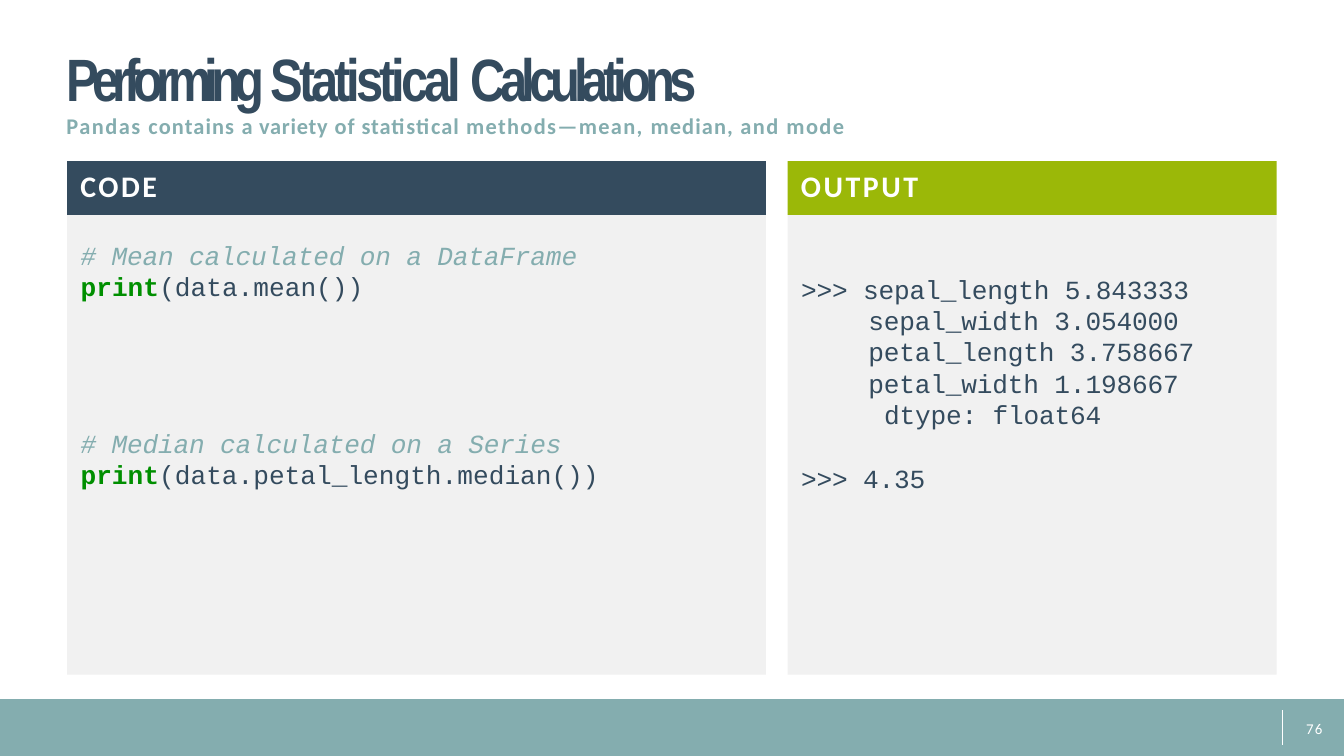
from pptx import Presentation
from pptx.dml.color import RGBColor
from pptx.enum.shapes import MSO_CONNECTOR, MSO_SHAPE
from pptx.enum.text import MSO_ANCHOR, PP_ALIGN
from pptx.oxml.ns import qn
from pptx.util import Pt
from lxml.etree import SubElement

NAVY, TEAL, LIME, GREEN = "344B5E", "84ADAF", "9BB808", "008F00"
PALE, WHITE = "F1F1F1", "FFFFFF"
CODE_FONT = "Courier New"
CODE_PITCH = Pt(16.8)


def color(hex_string):
    return RGBColor.from_string(hex_string)


def style(font, name, size, hex_string, bold=None):
    font.name, font.size, font.bold = name, Pt(size), bold
    font.color.rgb = color(hex_string)


def add_run(paragraph, text, tracking=0):
    """Append a run whose letters are tracked by the given points."""
    run = paragraph.add_run()
    run.text = text
    if tracking:
        run.font._element.set("spc", str(round(tracking * 100)))
    return run


def prepare_frame(frame, left=0, top=0):
    frame.margin_left, frame.margin_top = Pt(left), Pt(top)
    frame.margin_right = frame.margin_bottom = 0
    frame.word_wrap = True
    frame.vertical_anchor = MSO_ANCHOR.TOP
    return frame


def add_block(slide, left, top, width, height, fill):
    block = slide.shapes.add_shape(MSO_SHAPE.RECTANGLE, Pt(left), Pt(top), Pt(width), Pt(height))
    block.shadow.inherit = False
    block.fill.solid()
    block.fill.fore_color.rgb = color(fill)
    block.line.fill.background()
    return block


def add_heading(slide, left, top, width, height):
    title = slide.shapes.title
    title.left, title.top, title.width, title.height = Pt(left), Pt(top), Pt(width), Pt(height)
    frame = prepare_frame(title.text_frame, left=1, top=0.7)
    topic, summary = frame.paragraphs[0], frame.add_paragraph()
    for paragraph, pitch in ((topic, 37.6), (summary, 13.7)):
        paragraph.alignment = PP_ALIGN.LEFT
        paragraph.line_spacing = Pt(pitch)
    style(topic.font, "Arial Narrow", 32, NAVY, True)
    style(summary.font, "Calibri", 12, TEAL, True)
    for text, tracking in (("Performing ", -3.8), ("Statistical ", -2.2), ("Calculations", -3.2)):
        add_run(topic, text, tracking)
    for text, tracking in (("Pandas ", 0.8), ("contains ", 0.6), ("a variety ", 0.4),
                           ("of statistical ", 0.5), ("methods—mean, ", 0.7),
                           ("median, ", 0.6), ("and mode", 0.8)):
        add_run(summary, text, tracking)


def add_panel(slide, left, top, width, height, label, fill, header_height=28.8):
    """Draw a labelled header above a pale body and return the body."""
    header = add_block(slide, left, top, width, header_height, fill)
    paragraph = prepare_frame(header.text_frame, left=7.2, top=3.6).paragraphs[0]
    paragraph.alignment = PP_ALIGN.LEFT
    style(paragraph.font, "Calibri", 16, WHITE, True)
    add_run(paragraph, label, 1.4)
    return add_block(slide, left, top + header_height, width, height - header_height, PALE)


def add_snippet(slide, left, top, width, height, comment, arguments):
    box = slide.shapes.add_textbox(Pt(left), Pt(top), Pt(width), Pt(height))
    frame = prepare_frame(box.text_frame, top=1.5)
    remark, call = frame.paragraphs[0], frame.add_paragraph()
    remark.line_spacing = call.line_spacing = CODE_PITCH
    style(remark.font, CODE_FONT, 14, TEAL)
    remark.font.italic = True
    add_run(remark, comment, -0.1)
    style(call.font, CODE_FONT, 14, NAVY)
    keyword = add_run(call, "print")
    keyword.font.bold = True
    keyword.font.color.rgb = color(GREEN)
    add_run(call, arguments)


def add_code_panel(slide, left, top, width, height):
    add_panel(slide, left, top, width, height, "CODE", NAVY)
    add_snippet(slide, left + 7.2, top + 40.3, 270, 36,
                "# Mean calculated on a DataFrame", "(data.mean())")
    add_snippet(slide, left + 7.2, top + 141.1, 280, 36,
                "# Median calculated on a Series", "(data.petal_length.median())")


def add_output_panel(slide, left, top, width, height):
    body = add_panel(slide, left, top, width, height, "OUTPUT", LIME)
    frame = prepare_frame(body.text_frame, top=31)
    results = ((">>> sepal_length 5.843333", 7.2, 0), ("sepal_width 3.054000", 43.2, 0),
               ("petal_length 3.758667", 43.2, 0), ("petal_width 1.198667", 43.2, 0),
               ("dtype: float64", 51.6, 0), (">>> 4.35", 7.2, 17.5))
    for index, (text, indent, gap) in enumerate(results):
        paragraph = frame.add_paragraph() if index else frame.paragraphs[0]
        paragraph.alignment = PP_ALIGN.LEFT
        paragraph.line_spacing = CODE_PITCH
        if gap:
            paragraph.space_before = Pt(gap)
        paragraph._p.get_or_add_pPr().set("marL", str(Pt(indent)))
        style(paragraph.font, CODE_FONT, 14, NAVY)
        add_run(paragraph, text, -0.1)


def add_footer(slide, left, top, width, height, number):
    add_block(slide, left, top, width, height, TEAL)
    divider_x = Pt(left + width - 33.1)
    divider = slide.shapes.add_connector(MSO_CONNECTOR.STRAIGHT, divider_x, Pt(top + 5.8),
                                         divider_x, Pt(top + 24.5))
    divider.line.color.rgb = color(WHITE)
    divider.line.width = Pt(0.72)
    SubElement(divider._element.spPr, qn("a:effectLst"))
    box = slide.shapes.add_textbox(Pt(left + width - 22.3), Pt(top + 9.4), Pt(14), Pt(13))
    paragraph = prepare_frame(box.text_frame, left=2, top=1.4).paragraphs[0]
    style(paragraph.font, "Calibri", 8, WHITE)
    add_run(paragraph, number, 0.7)


def main():
    presentation = Presentation()
    presentation.slide_width, presentation.slide_height = Pt(720), Pt(405)
    slide = presentation.slides.add_slide(presentation.slide_layouts[5])
    add_footer(slide, 0, 374.6, 720, 30.4, "76")
    add_heading(slide, 34.6, 22.3, 420, 53.3)
    add_code_panel(slide, 36, 86.4, 374.4, 275)
    add_output_panel(slide, 422, 86.4, 262, 275)
    presentation.save("out.pptx")


if __name__ == "__main__":
    main()
